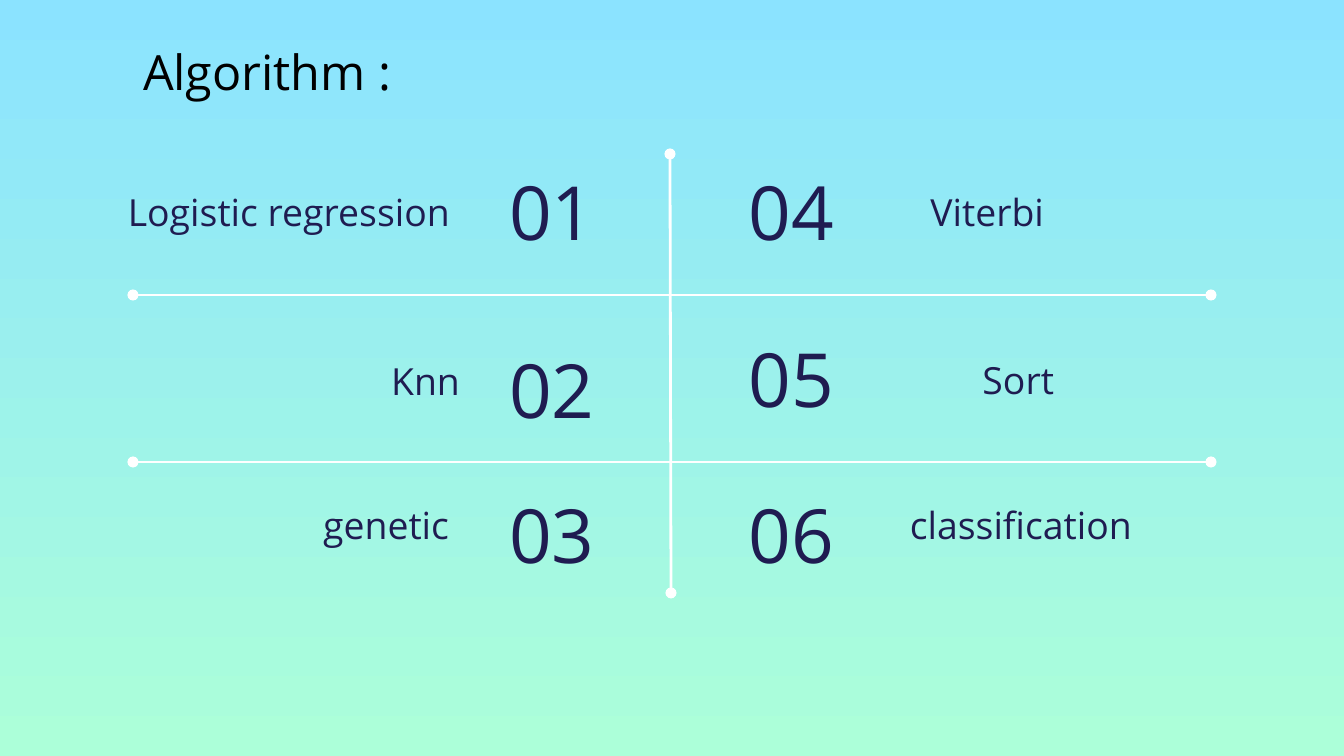
"""Builds the slide that lists six algorithms in a ruled grid."""
from dataclasses import dataclass
from typing import Any, NamedTuple

from lxml.etree import SubElement
from pptx import Presentation
from pptx.dml.color import RGBColor as Rgb
from pptx.enum.shapes import MSO_CONNECTOR as Connector
from pptx.enum.text import MSO_ANCHOR as Anchor, PP_ALIGN as Align
from pptx.oxml.ns import qn
from pptx.slide import Slide
from pptx.util import Emu, Pt

EMU_PER_PIXEL = 914400 / 134.4


@dataclass(frozen=True)
class Theme:
    """Colours, font and type sizes of the slide."""

    sky: Rgb = Rgb.from_string("8BE3FF")
    mint: Rgb = Rgb.from_string("ACFFD9")
    navy: Rgb = Rgb.from_string("1F1C51")
    black: Rgb = Rgb.from_string("000000")
    white: Rgb = Rgb.from_string("FFFFFF")
    font: str = "Open Sans"
    heading: int = 26
    number: int = 40
    label: int = 20
    rule: float = 1.5


class Box(NamedTuple):
    """Place of a text in pixels."""

    left: int
    top: int
    width: int
    height: int


class Rule(NamedTuple):
    """End points of a grid line in pixels."""

    x1: int
    y1: int
    x2: int
    y2: int


@dataclass(frozen=True)
class Entry:
    """One numbered algorithm with the places of its number and label."""

    name: str
    number_top: int
    label_left: int
    label_top: int
    label_gap: int = 0


THEME = Theme()
INSET = 13
ROWS = 3
NUMBER_COLUMNS = ((496, Align.LEFT), (672, Align.RIGHT))
NUMBER_SIZE = (175, 116)
LABEL_SIZE = (400, 67)
HEADING = Box(130, 46, 297, 67)
RULES = (
    Rule(670, 154, 671, 593),
    Rule(133, 295, 1211, 295),
    Rule(133, 462, 1211, 462),
)
ENTRIES = (
    Entry("Logistic regression", 153, 73, 180, 10),
    Entry("Knn", 331, 73, 349),
    Entry("genetic", 476, 62, 493),
    Entry("Viterbi", 153, 667, 180, 10),
    Entry("Sort", 320, 667, 348),
    Entry("classification", 476, 745, 493),
)


def px(length: int) -> Emu:
    """Turn picture pixels into EMU."""
    return Emu(round(length * EMU_PER_PIXEL))


def assign(target: Any, values: dict[str, Any]) -> None:
    """Set every named attribute of the target."""
    for key, value in values.items():
        setattr(target, key, value)


def add_text(slide: Slide, text: str, box: Box, size: int, color: Rgb,
             align: Align, anchor: Anchor, gap: int = 0) -> None:
    """Add one line of text, with an optional extra gap on the right."""
    frame = slide.shapes.add_textbox(*map(px, box)).text_frame
    assign(frame, {
        "word_wrap": True,
        "vertical_anchor": anchor,
        "margin_left": px(INSET),
        "margin_top": px(INSET),
        "margin_right": px(INSET + gap),
        "margin_bottom": px(INSET),
    })
    paragraph = frame.paragraphs[0]
    paragraph.alignment = align
    run = paragraph.add_run()
    run.text = text
    assign(run.font, {"name": THEME.font, "size": Pt(size)})
    run.font.color.rgb = color


def add_rule(slide: Slide, rule: Rule) -> None:
    """Add a grid line with a dot at both ends."""
    connector = slide.shapes.add_connector(Connector.STRAIGHT, *map(px, rule))
    connector.line.color.rgb = THEME.white
    connector.line.width = Pt(THEME.rule)
    outline = connector.line._get_or_add_ln()
    for end in ("a:headEnd", "a:tailEnd"):
        SubElement(outline, qn(end), type="oval")
    SubElement(connector._element.spPr, qn("a:effectLst"))


def add_entry(slide: Slide, index: int, entry: Entry) -> None:
    """Add the number and the label of one algorithm."""
    left, align = NUMBER_COLUMNS[index // ROWS]
    number_box = Box(left, entry.number_top, *NUMBER_SIZE)
    label_box = Box(entry.label_left, entry.label_top, *LABEL_SIZE)
    add_text(slide, f"{index + 1:02}", number_box, THEME.number, THEME.navy,
             align, Anchor.MIDDLE)
    add_text(slide, entry.name, label_box, THEME.label, THEME.navy,
             Align.RIGHT, Anchor.BOTTOM, entry.label_gap)


def paint_background(slide: Slide) -> None:
    """Fill the background from sky at the top to mint at the bottom."""
    fill = slide.background.fill
    fill.gradient()
    fill.gradient_angle = 270
    for stop, color in zip(fill.gradient_stops, (THEME.sky, THEME.mint)):
        stop.color.rgb = color


def main() -> None:
    """Build and save the slide."""
    deck = Presentation()
    assign(deck, {"slide_width": px(1344), "slide_height": px(756)})
    slide = deck.slides.add_slide(deck.slide_layouts[6])
    paint_background(slide)
    for rule in RULES:
        add_rule(slide, rule)
    add_text(slide, "Algorithm :", HEADING, THEME.heading, THEME.black,
             Align.LEFT, Anchor.BOTTOM)
    for index, entry in enumerate(ENTRIES):
        add_entry(slide, index, entry)
    deck.save("out.pptx")


main()
